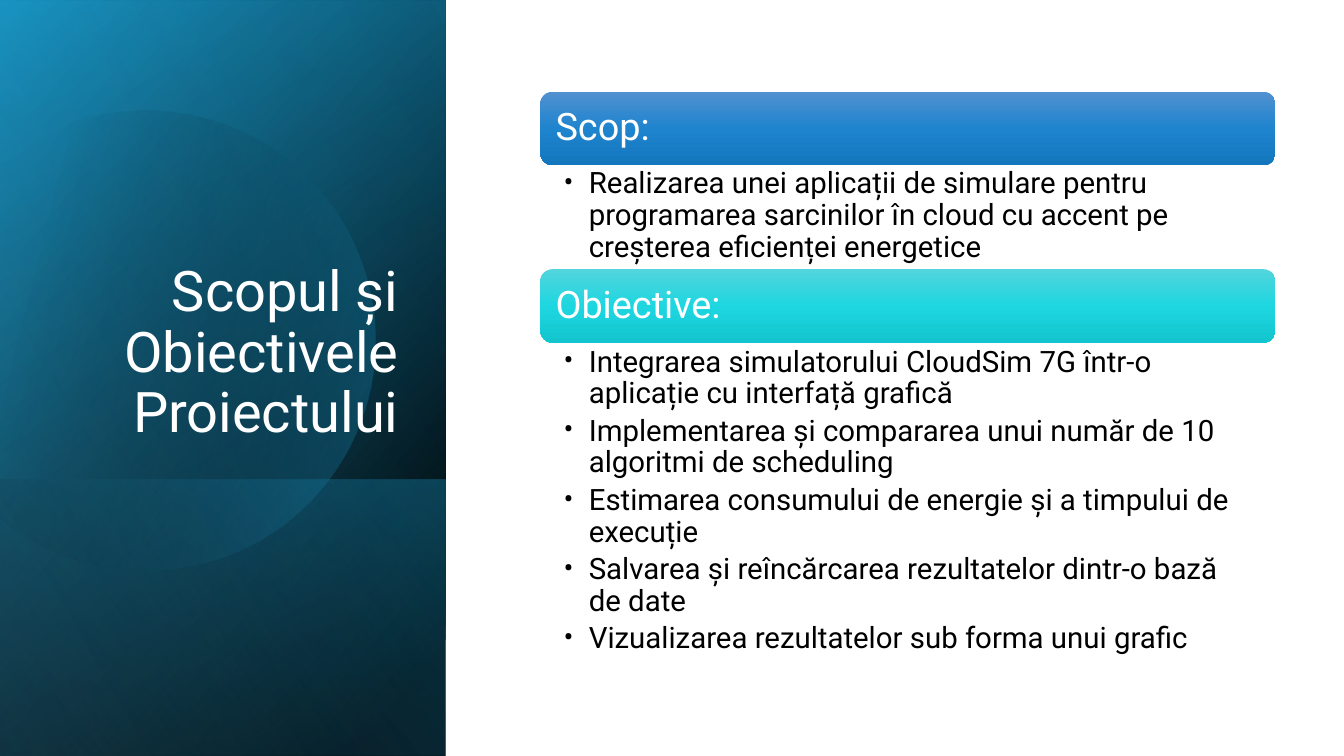
"""Build the slide about the purpose and objectives of the project."""
import itertools
import math

import lxml.etree
import pptx
import pptx.dml.color
import pptx.enum.shapes
import pptx.enum.text
import pptx.oxml
import pptx.oxml.ns
import pptx.util

PX = 9144
FONT = "Roboto"
BLACK = pptx.dml.color.RGBColor(0x00, 0x00, 0x00)
WHITE = pptx.dml.color.RGBColor(0xFF, 0xFF, 0xFF)
DEEP_BLUE = pptx.dml.color.RGBColor(0x14, 0x82, 0xAC)
SKY_BLUE = pptx.dml.color.RGBColor(0x1C, 0xAD, 0xE4)
PALE_BLUE = pptx.dml.color.RGBColor(0x77, 0xCE, 0xEF)
BLUE_TOP = pptx.dml.color.RGBColor(0x51, 0x91, 0xD0)
BLUE_MIDDLE = pptx.dml.color.RGBColor(0x1E, 0x84, 0xCE)
BLUE_BOTTOM = pptx.dml.color.RGBColor(0x14, 0x77, 0xBE)
CYAN_TOP = pptx.dml.color.RGBColor(0x52, 0xD5, 0xDD)
CYAN_MIDDLE = pptx.dml.color.RGBColor(0x1E, 0xD6, 0xE0)
CYAN_BOTTOM = pptx.dml.color.RGBColor(0x13, 0xC5, 0xCF)

PANEL = (-154, 154, 750, 442)
PANEL_LAYERS = [
    (PANEL, 50, [(8, BLACK, 100), (100, DEEP_BLUE, 100)]),
    ((-154, 155, 750, 442), 30, [(0, BLACK, 0), (99, SKY_BLUE, 46)]),
    ((84, 392, 274, 442), 130, [(2, SKY_BLUE, 29), (100, BLACK, 30)]),
]
DISC_STOPS = [(29, BLACK, 0), (100, SKY_BLUE, 43)]
SHEEN = (PANEL, 120, [(0, BLACK, 0), (99, PALE_BLUE, 11)])

SECTIONS = [
    ("Scop:", 91, 163, 104, (BLUE_TOP, BLUE_MIDDLE, BLUE_BOTTOM), [
        "Realizarea unei aplicații de simulare pentru programarea sarcinilor "
        "în cloud cu accent pe creșterea eficienței energetice",
    ]),
    ("Obiective:", 267, 340, 330, (CYAN_TOP, CYAN_MIDDLE, CYAN_BOTTOM), [
        "Integrarea simulatorului CloudSim 7G într-o aplicație cu interfață grafică",
        "Implementarea și compararea unui număr de 10 algoritmi de scheduling",
        "Estimarea consumului de energie și a timpului de execuție",
        "Salvarea și reîncărcarea rezultatelor dintr-o bază de date",
        "Vizualizarea rezultatelor sub forma unui grafic",
    ]),
]
SECTION_LEFT, SECTION_WIDTH, HEADER_HEIGHT, HEADER_INSET = 536, 729, 73, 4
MARGINS = ("margin_left", "margin_top", "margin_right", "margin_bottom")


def px(*lengths):
    """Turn pixel lengths into EMU."""
    return [pptx.util.Emu(length * PX) for length in lengths]


def apply_format(target, values):
    """Set each named attribute of the target."""
    for name, value in values.items():
        setattr(target, name, value)


def paint_gradient(shape, angle, stops):
    """Fill a shape with a linear gradient, without line or shadow."""
    shape.shadow.inherit = False
    shape.line.fill.background()
    shape.fill.solid()
    solid = shape._element.spPr.find(pptx.oxml.ns.qn("a:solidFill"))
    stop_xml = "".join(
        f'<a:gs pos="{position * 1000}"><a:srgbClr val="{color}">'
        f'<a:alpha val="{opacity * 1000}"/></a:srgbClr></a:gs>'
        for position, color, opacity in stops)
    gradient = pptx.oxml.parse_xml(
        f'<a:gradFill {pptx.oxml.ns.nsdecls("a")} rotWithShape="1">'
        f'<a:gsLst>{stop_xml}</a:gsLst>'
        f'<a:lin ang="{angle * 60000}" scaled="0"/></a:gradFill>')
    solid.getparent().replace(solid, gradient)


def add_layer(slide, box, angle, stops):
    """Add a turned and mirrored gradient rectangle to the left panel."""
    shape = slide.shapes.add_shape(
        pptx.enum.shapes.MSO_SHAPE.RECTANGLE, *px(*box))
    shape.rotation = 90
    shape._element.spPr.xfrm.set("flipH", "1")
    paint_gradient(shape, angle, stops)


def add_disc(slide):
    """Add the disc that is cut off at the left slide edge."""
    center_x, center_y, radius, tilt = 144, 334, 228, 16
    degrees = (-119, -90, 0, 90, 151)

    def arc_point(degree, handle=0):
        """Give a point on the circle, moved along its tangent."""
        cosine = math.cos(math.radians(degree))
        sine = math.sin(math.radians(degree))
        return (round(center_x + radius * (cosine - handle * sine)),
                round(center_y + radius * (sine + handle * cosine)))

    anchors = [arc_point(degree) for degree in degrees]
    builder = slide.shapes.build_freeform(*anchors[0], scale=PX)
    builder.add_line_segments(anchors[1:], close=True)
    shape = builder.convert_to_shape()
    left = min(x for x, y in anchors)
    top = min(y for x, y in anchors)
    lines = list(shape._element.iter(pptx.oxml.ns.qn("a:lnTo")))
    for line, (start, end) in zip(lines, itertools.pairwise(degrees)):
        handle = 4 / 3 * math.tan(math.radians(end - start) / 4)
        points = (arc_point(start, handle), arc_point(end, -handle),
                  arc_point(end))
        point_xml = "".join(
            f'<a:pt x="{x - left}" y="{y - top}"/>' for x, y in points)
        line.getparent().replace(line, pptx.oxml.parse_xml(
            f'<a:cubicBezTo {pptx.oxml.ns.nsdecls("a")}>'
            f'{point_xml}</a:cubicBezTo>'))
    shape.rotation = -tilt
    paint_gradient(shape, 30, DISC_STOPS)


def add_text(slide, box, lines, size, color, frame_format, paragraph_format):
    """Add a text box with one paragraph per line and return its frame."""
    frame = slide.shapes.add_textbox(*px(*box)).text_frame
    apply_format(frame, {"word_wrap": True, **frame_format})
    for index, line in enumerate(lines):
        paragraph = frame.add_paragraph() if index else frame.paragraphs[0]
        apply_format(paragraph, {"line_spacing": 0.9, **paragraph_format})
        run = paragraph.add_run()
        run.text = line
        apply_format(run.font, {"name": FONT, "size": pptx.util.Pt(size)})
        run.font.color.rgb = color
    return frame


def add_header(slide, text, top, colors):
    """Add a rounded section header with its text."""
    shape = slide.shapes.add_shape(
        pptx.enum.shapes.MSO_SHAPE.ROUNDED_RECTANGLE,
        *px(SECTION_LEFT, top, SECTION_WIDTH, HEADER_HEIGHT))
    paint_gradient(shape, 90, [
        (index * 50, color, 100) for index, color in enumerate(colors)])
    box = (SECTION_LEFT + HEADER_INSET, top + HEADER_INSET,
           SECTION_WIDTH - 2 * HEADER_INSET, HEADER_HEIGHT - 2 * HEADER_INSET)
    add_text(slide, box, [text], 27, WHITE,
             {"vertical_anchor": pptx.enum.text.MSO_ANCHOR.MIDDLE,
              **dict(zip(MARGINS, px(11, 11, 11, 11)))}, {})


def add_bullets(slide, lines, top, height):
    """Add a bulleted list below a section header."""
    frame = add_text(
        slide, (SECTION_LEFT, top, SECTION_WIDTH, height), lines, 21, BLACK,
        dict(zip(MARGINS, px(23, 4, 21, 4))),
        {"level": 1, "space_after": pptx.util.Pt(4)})
    for paragraph in frame.paragraphs:
        properties = paragraph._p.get_or_add_pPr()
        properties.set("marL", str(25 * PX))
        properties.set("indent", str(-25 * PX))
        for tag, name, value in (("a:buFont", "typeface", FONT),
                                 ("a:buChar", "char", "•")):
            lxml.etree.SubElement(
                properties, pptx.oxml.ns.qn(tag)).set(name, value)


def main():
    """Build and save the presentation."""
    presentation = pptx.Presentation()
    width, height = px(1333, 750)
    apply_format(presentation, {"slide_width": width, "slide_height": height})
    slide = presentation.slides.add_slide(presentation.slide_layouts[6])
    for layer in PANEL_LAYERS:
        add_layer(slide, *layer)
    add_disc(slide)
    add_layer(slide, *SHEEN)
    add_text(slide, (64, 184, 341, 262), ["Scopul și Obiectivele Proiectului"],
             40, WHITE,
             {"vertical_anchor": pptx.enum.text.MSO_ANCHOR.BOTTOM},
             {"alignment": pptx.enum.text.PP_ALIGN.RIGHT})
    for heading, top, list_top, list_height, colors, lines in SECTIONS:
        add_header(slide, heading, top, colors)
        add_bullets(slide, lines, list_top, list_height)
    presentation.save("out.pptx")


if __name__ == "__main__":
    main()
